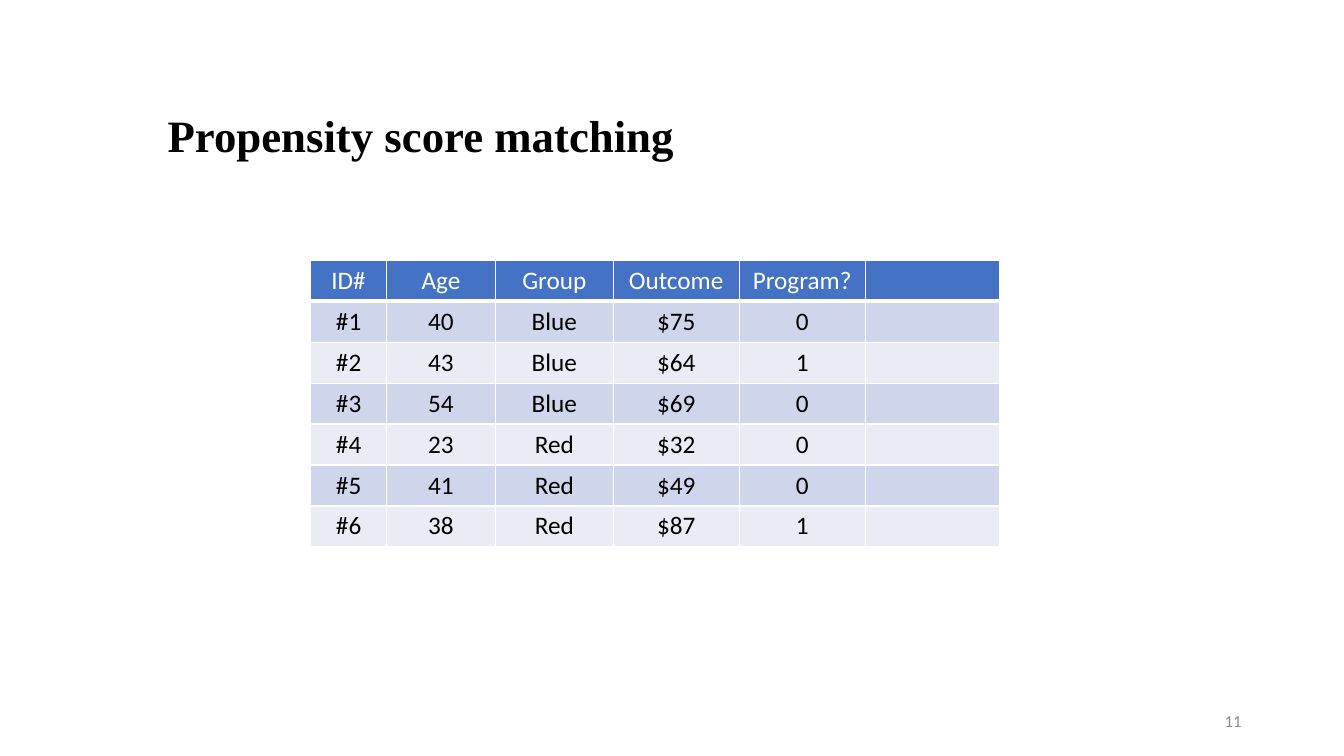
from dataclasses import dataclass

import pptx
import pptx.dml.color
import pptx.enum.text
import pptx.oxml
import pptx.oxml.ns
import pptx.presentation
import pptx.slide
import pptx.table
import pptx.text.text
import pptx.util

RGBColor = pptx.dml.color.RGBColor
Align = pptx.enum.text.PP_ALIGN
Anchor = pptx.enum.text.MSO_ANCHOR

WHITE = RGBColor(0xFF, 0xFF, 0xFF)
BLACK = RGBColor(0x00, 0x00, 0x00)
GREY = RGBColor(0x8C, 0x8C, 0x8C)
HEADER_BLUE = RGBColor(0x44, 0x72, 0xC4)
DARK_BAND = RGBColor(0xCF, 0xD5, 0xEA)
LIGHT_BAND = RGBColor(0xE9, 0xEB, 0xF5)

COLUMN = pptx.util.Inches(1 / 12)
ROW = pptx.util.Inches(1 / 12)
TABLE_ROW_HEIGHT = pptx.util.Inches(0.406)


@dataclass(frozen=True)
class GridArea:
    left: float
    top: float
    width: float
    height: float

    def lengths(self) -> tuple[int, int, int, int]:
        return (round(self.left * COLUMN), round(self.top * ROW),
                round(self.width * COLUMN), round(self.height * ROW))


@dataclass(frozen=True)
class TableColumn:
    heading: str
    width: int
    values: tuple[str, ...]


TITLE_AREA = GridArea(18.75, 7, 109.3, 12.95)
TABLE_AREA = GridArea(37, 31, 82, 34.1)
NUMBER_AREA = GridArea(113, 83.4, 36, 4.8)

TABLE_COLUMNS = (
    TableColumn("ID#", 9, ("#1", "#2", "#3", "#4", "#5", "#6")),
    TableColumn("Age", 13, ("40", "43", "54", "23", "41", "38")),
    TableColumn("Group", 14, ("Blue", "Blue", "Blue", "Red", "Red", "Red")),
    TableColumn("Outcome", 15, ("$75", "$64", "$69", "$32", "$49", "$87")),
    TableColumn("Program?", 15, ("0", "1", "0", "0", "0", "1")),
    TableColumn("", 16, ("",) * 6),
)


def write_text(frame: pptx.text.text.TextFrame, text: str, *, size: float = 18,
               font: str = "Calibri", color: RGBColor = BLACK, bold: bool = False,
               align: Align = Align.CENTER) -> None:
    para = frame.paragraphs[0]
    para.alignment = align
    para.font.size = pptx.util.Pt(size)
    if text:
        span = para.add_run()
        span.text = text
        span.font.name = font
        span.font.size = pptx.util.Pt(size)
        span.font.bold = bold
        span.font.color.rgb = color


def set_borders(cell: pptx.table._Cell, bottom_width: float) -> None:
    properties = cell._tc.get_or_add_tcPr()
    widths = {"lnL": 1, "lnR": 1, "lnT": 1, "lnB": bottom_width}
    for position, (tag, width) in enumerate(widths.items()):
        border = pptx.oxml.parse_xml(
            f'<a:{tag} {pptx.oxml.ns.nsdecls("a")} w="{pptx.util.Pt(width)}">'
            f'<a:solidFill><a:srgbClr val="{WHITE}"/></a:solidFill></a:{tag}>')
        properties.insert(position, border)


def add_title(page: pptx.slide.Slide) -> None:
    title = page.shapes.title
    title.left, title.top, title.width, title.height = TITLE_AREA.lengths()
    frame = title.text_frame
    frame.auto_size = pptx.enum.text.MSO_AUTO_SIZE.NONE
    frame.vertical_anchor = Anchor.BOTTOM
    write_text(frame, "Propensity score matching", size=32, font="Times New Roman",
               bold=True, align=Align.LEFT)
    frame.paragraphs[0].line_spacing = 0.9


def add_matching_table(page: pptx.slide.Slide) -> None:
    row_count = len(TABLE_COLUMNS[0].values) + 1
    table = page.shapes.add_table(row_count, len(TABLE_COLUMNS),
                                  *TABLE_AREA.lengths()).table
    for row in table.rows:
        row.height = TABLE_ROW_HEIGHT
    for column_index, column in enumerate(TABLE_COLUMNS):
        table.columns[column_index].width = column.width * COLUMN
        for row_index, text in enumerate((column.heading, *column.values)):
            is_header = row_index == 0
            band = DARK_BAND if row_index % 2 else LIGHT_BAND
            cell = table.cell(row_index, column_index)
            cell.fill.solid()
            cell.fill.fore_color.rgb = HEADER_BLUE if is_header else band
            set_borders(cell, 3 if is_header else 1)
            write_text(cell.text_frame, text, color=WHITE if is_header else BLACK)


def add_page_number(page: pptx.slide.Slide) -> None:
    box = page.shapes.add_textbox(*NUMBER_AREA.lengths())
    box.text_frame.word_wrap = True
    box.text_frame.vertical_anchor = Anchor.MIDDLE
    write_text(box.text_frame, "11", size=12, color=GREY, align=Align.RIGHT)


def build_deck() -> pptx.presentation.Presentation:
    deck = pptx.Presentation()
    deck.slide_width = 160 * COLUMN
    deck.slide_height = 90 * ROW
    page = deck.slides.add_slide(deck.slide_layouts.get_by_name("Title Only"))
    add_title(page)
    add_matching_table(page)
    add_page_number(page)
    return deck


if __name__ == "__main__":
    build_deck().save("out.pptx")
